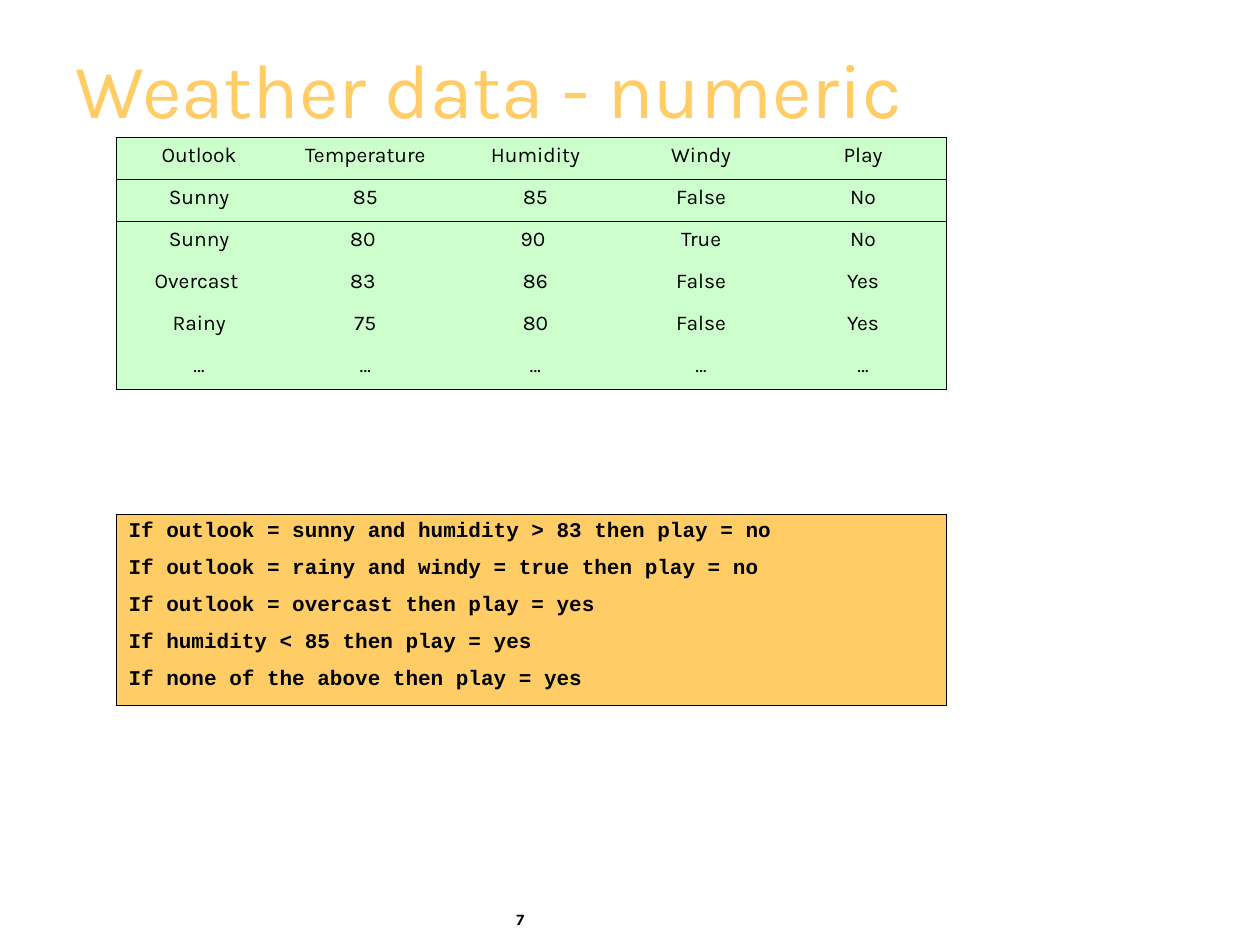
from lxml.etree import SubElement
from pptx import Presentation
from pptx.dml.color import RGBColor
from pptx.enum.text import MSO_ANCHOR, MSO_AUTO_SIZE, PP_ALIGN
from pptx.oxml.ns import qn
from pptx.util import Inches, Pt

NO_STYLE = "{2D5ABB26-0587-4C30-8999-92F81FD0307C}"
HEADER = ["Outlook", "Temperature", "Humidity", "Windy", "Play"]
ROWS = [
    HEADER,
    ["Sunny", "85", "85", "False", "No"],
    ["Sunny", "80 ", "90 ", "True", "No"],
    ["Overcast ", "83 ", "86", "False", "Yes"],
    ["Rainy", "75", "80", "False", "Yes"],
    ["…"] * len(HEADER),
]
COL_WIDTHS = [1.32, 1.32, 1.38, 1.25, 1.32]
RULES = [
    "If outlook = sunny and humidity > 83 then play = no",
    "If outlook = rainy and windy = true then play = no",
    "If outlook = overcast then play = yes",
    "If humidity < 85 then play = yes",
    "If none of the above then play = yes",
]
LEFT, WIDTH, ROW_H = 0.92, sum(COL_WIDTHS), 1 / 3


def write(tf, *lines, size=12, font="Karla", color="000000", bold=False,
          align=PP_ALIGN.LEFT, before=0, spacing=1):
    tf.word_wrap = True
    for i, line in enumerate(lines):
        p = tf.paragraphs[0] if i == 0 else tf.add_paragraph()
        p.alignment, p.space_before, p.line_spacing = align, Pt(before), spacing
        r = p.add_run()
        r.text = line
        r.font.name, r.font.size, r.font.bold = font, Pt(size), bold
        r.font.color.rgb = RGBColor.from_string(color)


def format_cell(cell, fill, sides):
    """Fill the cell and draw thin black borders on the sides named in L, R, T, B."""
    tc_pr = cell._tc.get_or_add_tcPr()
    for side in "LRTB":
        if side in sides:
            ln = SubElement(tc_pr, qn(f"a:ln{side}"), w=str(Pt(0.45)))
            SubElement(SubElement(ln, qn("a:solidFill")), qn("a:srgbClr"), val="000000")
    cell.fill.solid()
    cell.fill.fore_color.rgb = RGBColor.from_string(fill)


prs = Presentation()
prs.slide_width, prs.slide_height = Inches(10), Inches(7.5)
s = prs.slides.add_slide(prs.slide_layouts[5])

title = s.shapes.title
title.left, title.top, title.width, title.height = map(Inches, (0.5, 0.25, 9.08, 1))
tf = title.text_frame
tf.auto_size, tf.vertical_anchor = MSO_AUTO_SIZE.NONE, MSO_ANCHOR.MIDDLE
write(tf, "Weather data - numeric", size=44, color="FFCC66", spacing=0.85)

data = s.shapes.add_table(len(ROWS), len(HEADER), Inches(LEFT), Inches(1.09),
                          Inches(WIDTH), Inches(len(ROWS) * ROW_H)).table
rules = s.shapes.add_table(1, 1, Inches(LEFT), Inches(4.08),
                           Inches(WIDTH), Inches(1.52)).table
for table in (data, rules):
    table.first_row = table.horz_banding = False
    table._tbl.tblPr.find(qn("a:tableStyleId")).text = NO_STYLE

for col, width in zip(data.columns, COL_WIDTHS):
    col.width = Inches(width)
for i, row in enumerate(ROWS):
    for j, text in enumerate(row):
        sides = "L" * (j == 0) + "R" * (j == len(row) - 1)
        sides += "T" * (i <= 1) + "B" * (i in (0, len(ROWS) - 1))
        cell = data.cell(i, j)
        format_cell(cell, "CCFFCC", sides)
        write(cell.text_frame, text, align=PP_ALIGN.CENTER, before=7.5)

cell = rules.cell(0, 0)
format_cell(cell, "FFCC66", "LRTB")
write(cell.text_frame, *RULES, font="Courier New", bold=True, before=7.5)

number = s.shapes.add_textbox(Inches(4), Inches(7.17), Inches(1.02), Inches(0.33))
write(number.text_frame, "7", size=9, bold=True)

prs.save("out.pptx")
